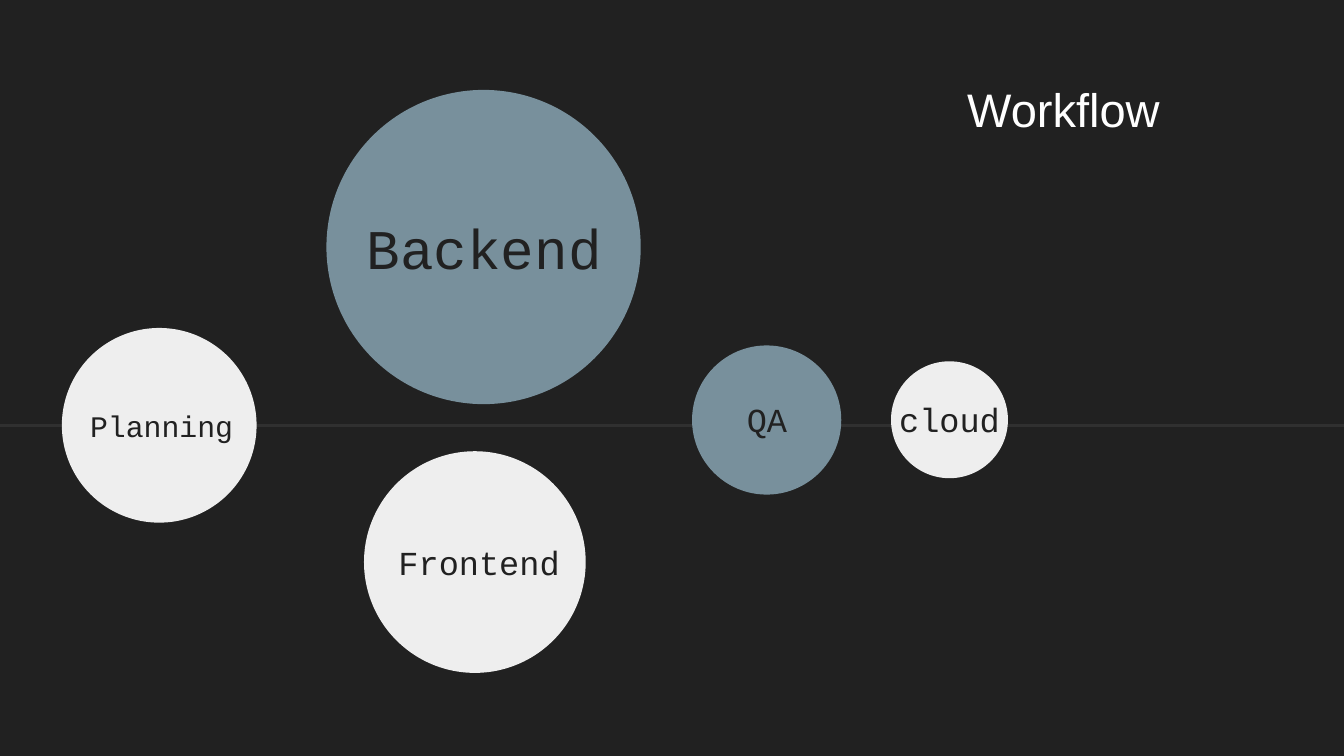
from dataclasses import dataclass

from lxml import etree
from pptx import Presentation
from pptx import util as u
from pptx.dml.color import RGBColor
from pptx.enum import shapes, text
from pptx.oxml.ns import qn

COLORS = {
    "background": "212121",
    "line": "303030",
    "title": "FFFFFF",
    "label": "212121",
    "light": "EEEEEE",
    "blue": "78909C",
}
SLIDE_W, SLIDE_H = 25.4, 14.29
LABEL_H = 1.68


@dataclass
class Step:
    """One workflow circle and its label; lengths in cm, size in points."""
    name: str
    left: float
    top: float
    diameter: float
    fill: str
    label_left: float
    label_top: float
    label_width: float
    size: float


STEPS = [
    Step("Planning", 1.17, 6.2, 3.68, "light", 0.86, 7.21, 4.39, 16),
    Step("Backend", 6.17, 1.7, 5.94, "blue", 5.05, 3.84, 8.2, 30),
    Step("Frontend", 6.88, 8.53, 4.19, "light", 6.96, 9.78, 4.19, 18),
    Step("QA", 13.08, 6.53, 2.82, "blue", 12.4, 7.09, 4.19, 18),
    Step("cloud", 16.84, 6.83, 2.21, "light", 15.85, 7.09, 4.19, 18),
]


def rgb(name: str) -> RGBColor:
    return RGBColor.from_string(COLORS[name])


def add_text(s, content: str, left: float, top: float, width: float,
             height: float, size: float, font: str, color: str,
             align, anchor) -> None:
    sp = s.shapes.add_textbox(u.Cm(left), u.Cm(top), u.Cm(width), u.Cm(height))
    tf = sp.text_frame
    tf.word_wrap = True
    tf.vertical_anchor = anchor
    tf.margin_left = tf.margin_right = u.Cm(0.25)
    tf.margin_top = tf.margin_bottom = u.Cm(0.25)
    p = tf.paragraphs[0]
    p.alignment = align
    r = p.add_run()
    r.text = content
    r.font.size = u.Pt(size)
    r.font.name = font
    r.font.color.rgb = rgb(color)


def add_timeline(s, y: float) -> None:
    line = s.shapes.add_connector(shapes.MSO_CONNECTOR.STRAIGHT,
                                  u.Cm(0), u.Cm(y), u.Cm(SLIDE_W), u.Cm(y))
    line.line.color.rgb = rgb("line")
    line.line.width = u.Pt(1.5)
    etree.SubElement(line._element.spPr, qn("a:effectLst"))


def add_step(s, step: Step) -> None:
    sp = s.shapes.add_shape(shapes.MSO_SHAPE.OVAL, u.Cm(step.left), u.Cm(step.top),
                            u.Cm(step.diameter), u.Cm(step.diameter))
    sp.shadow.inherit = False
    sp.fill.solid()
    sp.fill.fore_color.rgb = rgb(step.fill)
    sp.line.fill.background()
    add_text(s, step.name, step.label_left, step.label_top, step.label_width,
             LABEL_H, step.size, "Courier New", "label",
             text.PP_ALIGN.CENTER, text.MSO_ANCHOR.MIDDLE)


def main() -> None:
    prs = Presentation()
    prs.slide_width, prs.slide_height = u.Cm(SLIDE_W), u.Cm(SLIDE_H)
    s = prs.slides.add_slide(prs.slide_layouts[6])

    # Background
    s.background.fill.solid()
    s.background.fill.fore_color.rgb = rgb("background")

    # Timeline and title
    add_timeline(s, 8.05)
    add_text(s, "Workflow", 18.03, 1.24, 7.3, 1.6, 25.2, "Arial", "title",
             text.PP_ALIGN.LEFT, text.MSO_ANCHOR.BOTTOM)

    # Workflow steps
    for step in STEPS:
        add_step(s, step)

    prs.save("out.pptx")


if __name__ == "__main__":
    main()
